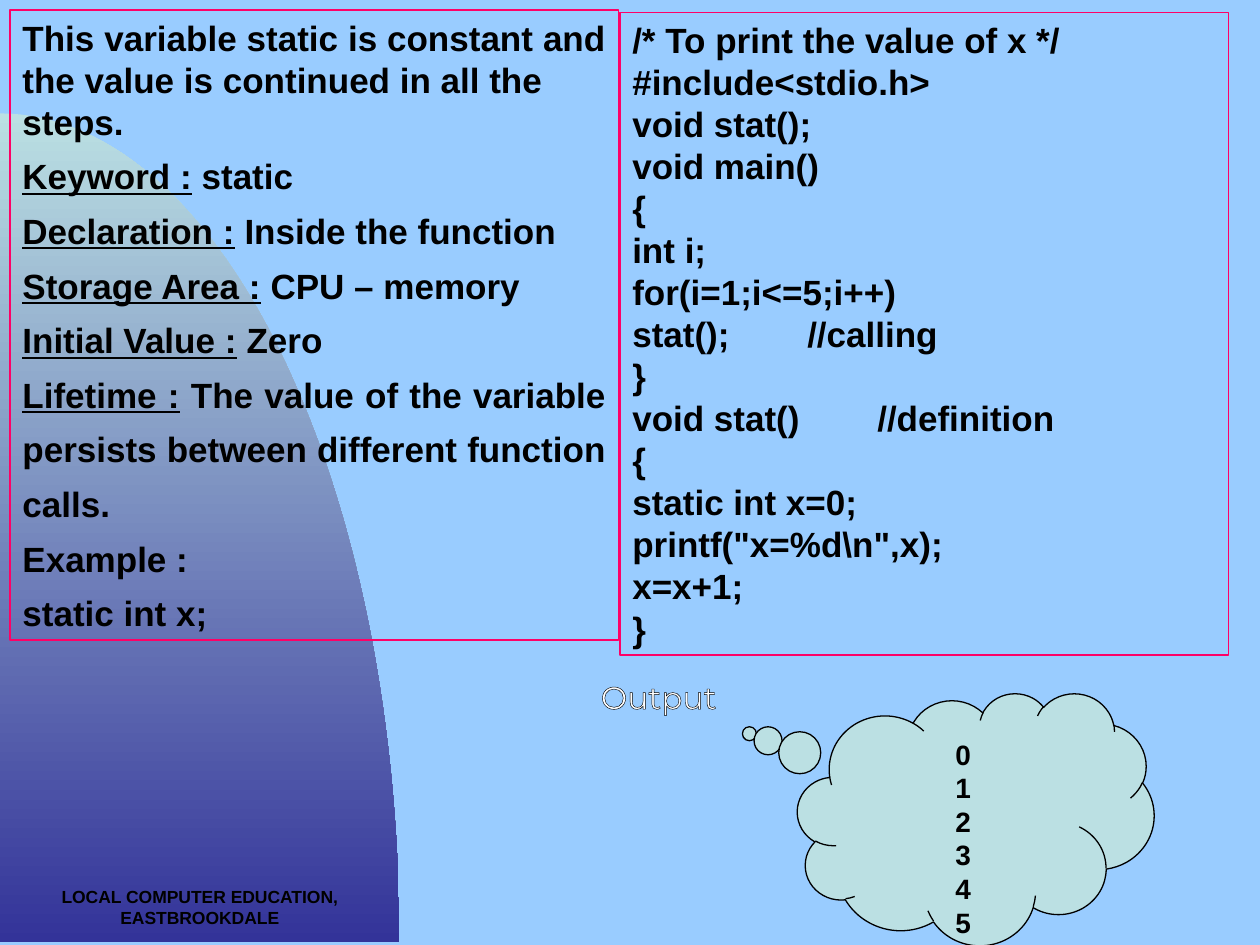
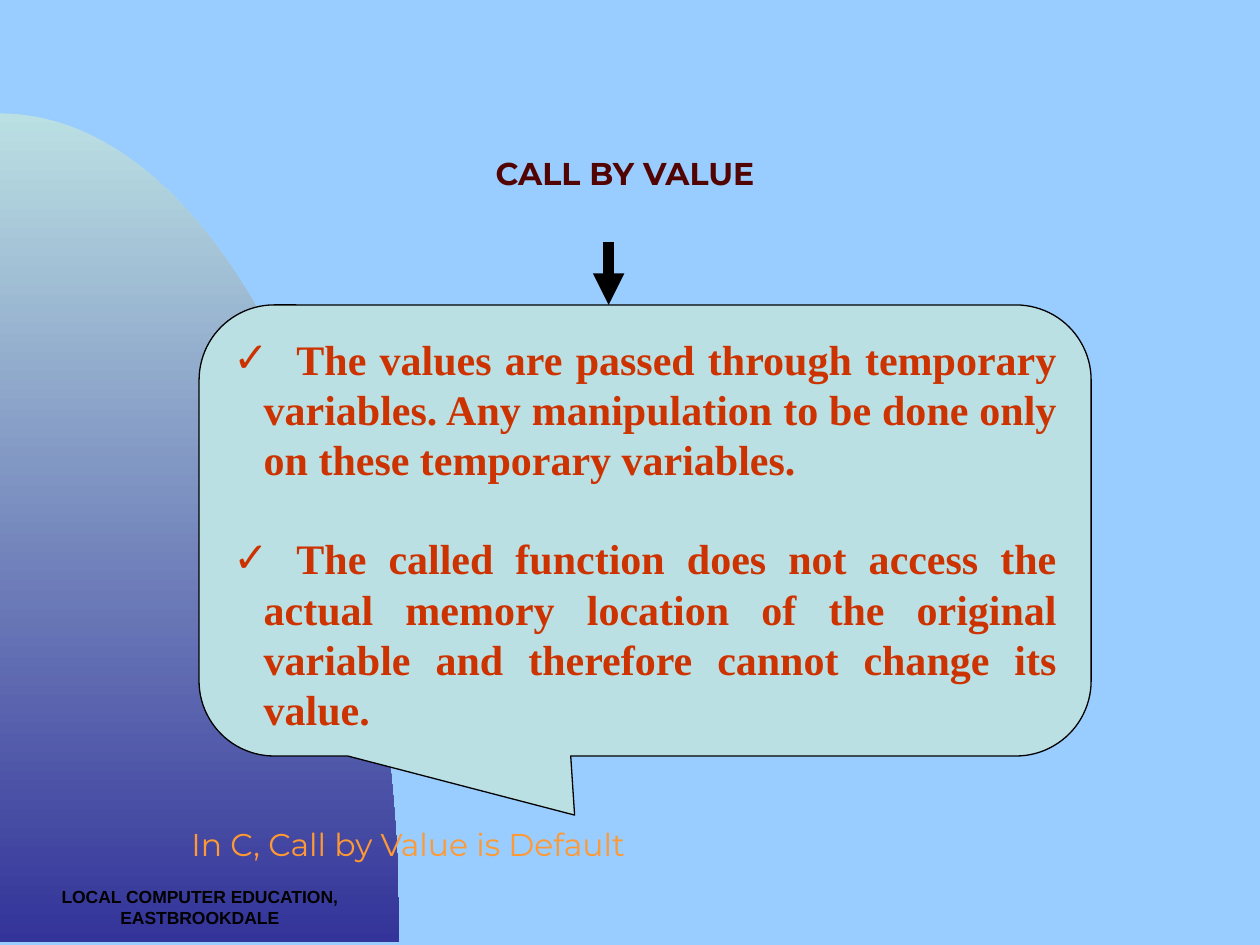
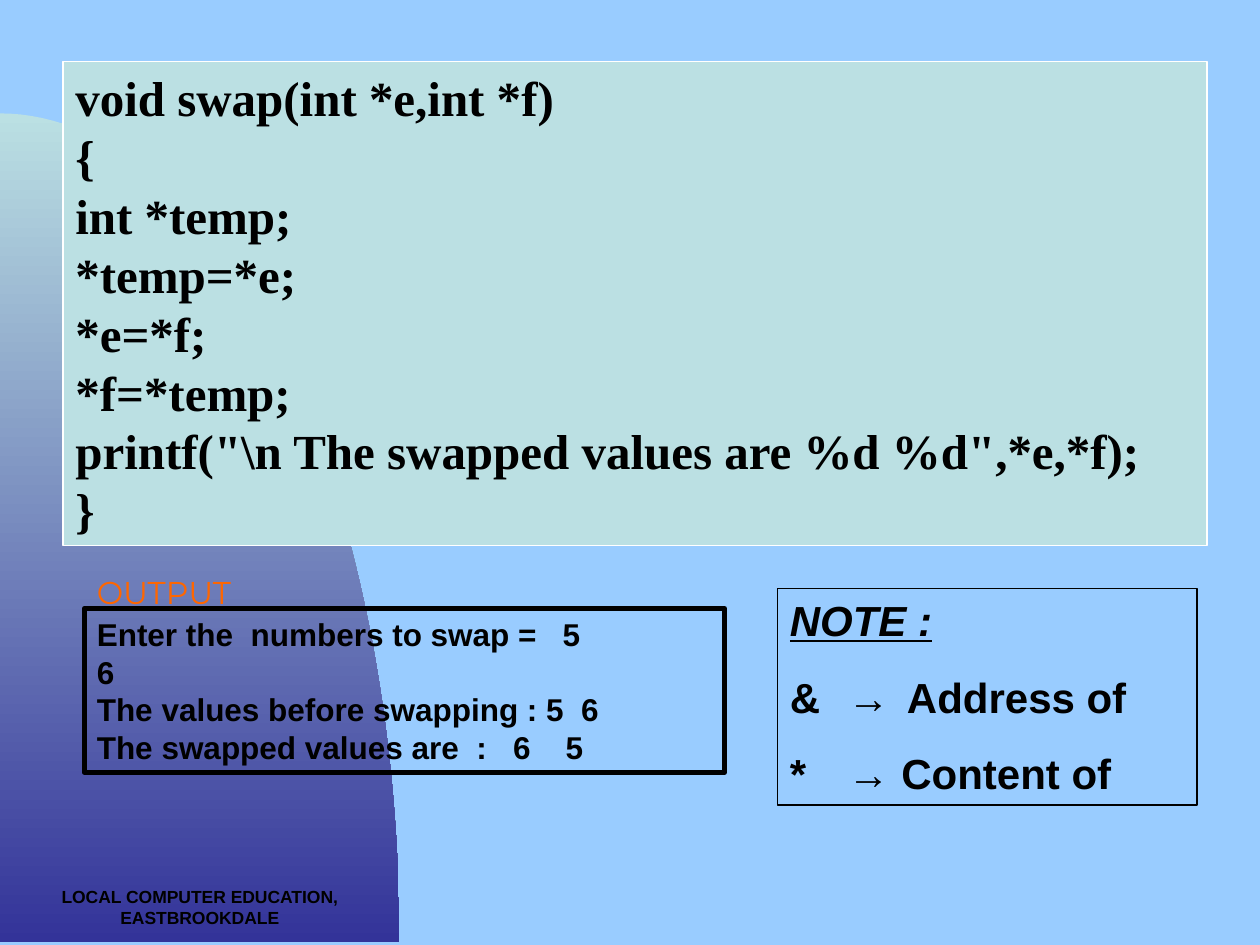
from math import cos, pi, sin

from lxml import etree
from pptx import Presentation
from pptx import util as u
from pptx.dml import color as colors
from pptx.enum import shapes, text
from pptx.oxml import ns

INK, PALE, PINK, RUST = "000000", "BBE0E3", "FF0066", "CC3300"
LEFT, CENTER, JUSTIFY = text.PP_ALIGN.LEFT, text.PP_ALIGN.CENTER, text.PP_ALIGN.JUSTIFY
RECTANGLE = shapes.MSO_SHAPE.RECTANGLE


def rgb(value):
    return colors.RGBColor.from_string(value)


def draw(page, kind, place, lines, size, font="Arial", ink=INK, bold=True, align=LEFT,
         fill=None, line=None, weight=0.75, wrap=True, outline=None, bullet=None, tabs=(), gap=0):
    left, top, width, height = [u.Inches(value) for value in place]
    if kind == "title":
        box = page.shapes.title
        box.left, box.top, box.width, box.height = left, top, width, height
    elif kind == "text":
        box = page.shapes.add_textbox(left, top, width, height)
    else:
        box = page.shapes.add_shape(kind, left, top, width, height)
        box.shadow.inherit = False
        if fill:
            box.fill.solid()
            box.fill.fore_color.rgb = rgb(fill)
        else:
            box.fill.background()
        box.line.color.rgb = rgb(line)
        box.line.width = u.Pt(weight)
    frame = box.text_frame
    frame.word_wrap = wrap
    frame.vertical_anchor = text.MSO_ANCHOR.TOP
    for index, content in enumerate(lines):
        para = frame.paragraphs[0] if index == 0 else frame.add_paragraph()
        para.alignment = align
        if index and gap:
            para.space_before = u.Pt(gap)
        properties = para._p.get_or_add_pPr()
        if bullet:
            properties.set("marL", str(u.Inches(0.24)))
            properties.set("indent", str(u.Inches(-0.24)))
            etree.SubElement(properties, ns.qn("a:buFont"), typeface="Arial")
            etree.SubElement(properties, ns.qn("a:buChar"), char=bullet)
        if tabs:
            stops = etree.SubElement(properties, ns.qn("a:tabLst"))
            for stop in tabs:
                etree.SubElement(stops, ns.qn("a:tab"), pos=str(u.Inches(stop)), algn="l")
        para.font.name = font
        para.font.size = u.Pt(size)
        para.font.bold = bold
        para.font.color.rgb = rgb(ink)
        if isinstance(content, tuple):
            label, detail = content
            span = para.add_run()
            span.text = label
            span.font.underline = True
            para.add_run().text = detail
        else:
            para.add_run().text = content
        if outline:
            for span in para.runs:
                edge = etree.Element(ns.qn("a:ln"), w=str(u.Pt(0.75)))
                paint = etree.SubElement(edge, ns.qn("a:solidFill"))
                etree.SubElement(paint, ns.qn("a:srgbClr"), val=outline)
                span._r.get_or_add_rPr().insert(0, edge)
    return box


deck = Presentation()
deck.slide_width, deck.slide_height = u.Inches(10), u.Inches(7.5)
master = deck.slide_master
master.background.fill.solid()
master.background.fill.fore_color.rgb = rgb("99CCFF")

title_only, blank = deck.slide_layouts[5], deck.slide_layouts[6]
static_page, value_page, swap_page = [
    deck.slides.add_slide(layout) for layout in (blank, title_only, blank)]

steps = 60
arc = [(3.17 * sin(pi / 2 * step / steps), 7.48 - 6.58 * cos(pi / 2 * step / steps))
       for step in range(steps + 1)]
builder = static_page.shapes.build_freeform(0, u.Inches(7.48), scale=1.0)
builder.add_line_segments([(u.Inches(x), u.Inches(y)) for x, y in arc], close=True)
curve = builder.convert_to_shape()
curve.shadow.inherit = False
curve.line.fill.background()
curve.fill.gradient()
curve.fill.gradient_angle = 270
for stop, shade, position in zip(curve.fill.gradient_stops, (PALE, "333399"), (0, 1)):
    stop.color.rgb = rgb(shade)
    stop.position = position
master.element.cSld.spTree.insert(2, curve._element)

for page in deck.slides:
    draw(page, "text", (0, 6.98, 3.17, 0.52), ["LOCAL COMPUTER EDUCATION, EASTBROOKDALE"], 10, align=CENTER)

facts = [
    "This variable static is constant and the value is continued in all the",
    "steps.",
    ("Keyword :", " static"),
    ("Declaration :", " Inside the function"),
    ("Storage Area :", " CPU – memory"),
    ("Initial Value :", " Zero"),
    ("Lifetime :", " The value of the variable persists between different function calls."),
    "Example :",
    "static int x;",
]
facts_box = draw(static_page, RECTANGLE, (0.08, 0.08, 4.83, 5), facts, 20, align=JUSTIFY, line=PINK)
for para in facts_box.text_frame.paragraphs[2:]:
    para.line_spacing = 1.3

static_code = r'''/* To print the value of x */
#include<stdio.h>
void stat();
void main()
{
int i;
for(i=1;i<=5;i++)
stat();        //calling
}
void stat()        //definition
{
static int x=0;
printf("x=%d\n",x);
x=x+1;
}'''
draw(static_page, RECTANGLE, (4.92, 0.1, 4.83, 5.1), static_code.split("\n"), 20, line=PINK)
cloud = draw(static_page, shapes.MSO_SHAPE.CLOUD_CALLOUT, (6.33, 5.5, 2.83, 2), list("012345"), 16,
             align=CENTER, fill=PALE, line=INK)
cloud.adjustments[0], cloud.adjustments[1] = -0.635, -0.338
draw(static_page, "text", (4.67, 5.33, 1.85, 0.5), ["Output"], 18, "Montserrat", "FFFFFF",
     bold=False, wrap=False, outline=INK)

draw(value_page, "title", (2.25, 1.17, 5.42, 0.71), ["CALL BY VALUE"], 18, "Montserrat", "520402",
     align=CENTER, outline="B2B2B2")
rules = [
    "\tThe values are passed through temporary variables. Any manipulation to be done only "
    "on these temporary variables.",
    "\tThe called function does not access the actual memory location of the original "
    "variable and therefore cannot change its value.",
]
callout = draw(value_page, shapes.MSO_SHAPE.ROUNDED_RECTANGULAR_CALLOUT, (1.58, 2.42, 7.08, 3.58),
               rules, 24, "Times New Roman", RUST, align=JUSTIFY, fill=PALE, line=INK,
               bullet="✓", tabs=[0.5], gap=27.6)
callout.adjustments[0], callout.adjustments[1] = -0.079, 0.631
arrow = value_page.shapes.add_connector(
    shapes.MSO_CONNECTOR.STRAIGHT, u.Inches(4.83), u.Inches(1.92), u.Inches(4.83), u.Inches(2.42))
arrow.line.color.rgb = rgb(INK)
arrow.line.width = u.Pt(6)
etree.SubElement(arrow.line._get_or_add_ln(), ns.qn("a:tailEnd"), type="triangle")
etree.SubElement(arrow._element.spPr, ns.qn("a:effectLst"))
draw(value_page, "text", (1.42, 6.5, 7.76, 0.42), ["In C, Call by Value is Default"], 18,
     "Montserrat", "FF9933", bold=False, wrap=False, outline=INK)

swap_code = r'''void swap(int *e,int *f)
{
int *temp;
*temp=*e;
*e=*f;
*f=*temp;
printf("\n The swapped values are %d %d",*e,*f);
}'''
draw(swap_page, RECTANGLE, (0.5, 0.49, 9.08, 3.84), swap_code.split("\n"), 28, "Times New Roman",
     fill=PALE, line="FFFFFF")
notes = [("NOTE :", ""), "&\t→\tAddress of", "*\t→ Content of"]
note_box = draw(swap_page, RECTANGLE, (6.17, 4.67, 3.33, 1.72), notes, 24, line=INK,
                tabs=[0.46, 0.93], gap=15)
note_box.text_frame.paragraphs[0].font.italic = True
draw(swap_page, "text", (0.67, 4.5, 1.92, 0.25), ["OUTPUT"], 18, "Montserrat", "FF6600",
     bold=False, wrap=False, outline=INK)
swap_output = '''Enter the  numbers to swap =   5
6
The values before swapping : 5  6
The swapped values are  :   6    5'''
draw(swap_page, RECTANGLE, (0.67, 4.83, 5.08, 1.3), swap_output.split("\n"), 18, line=INK, weight=3)

deck.save("out.pptx")
